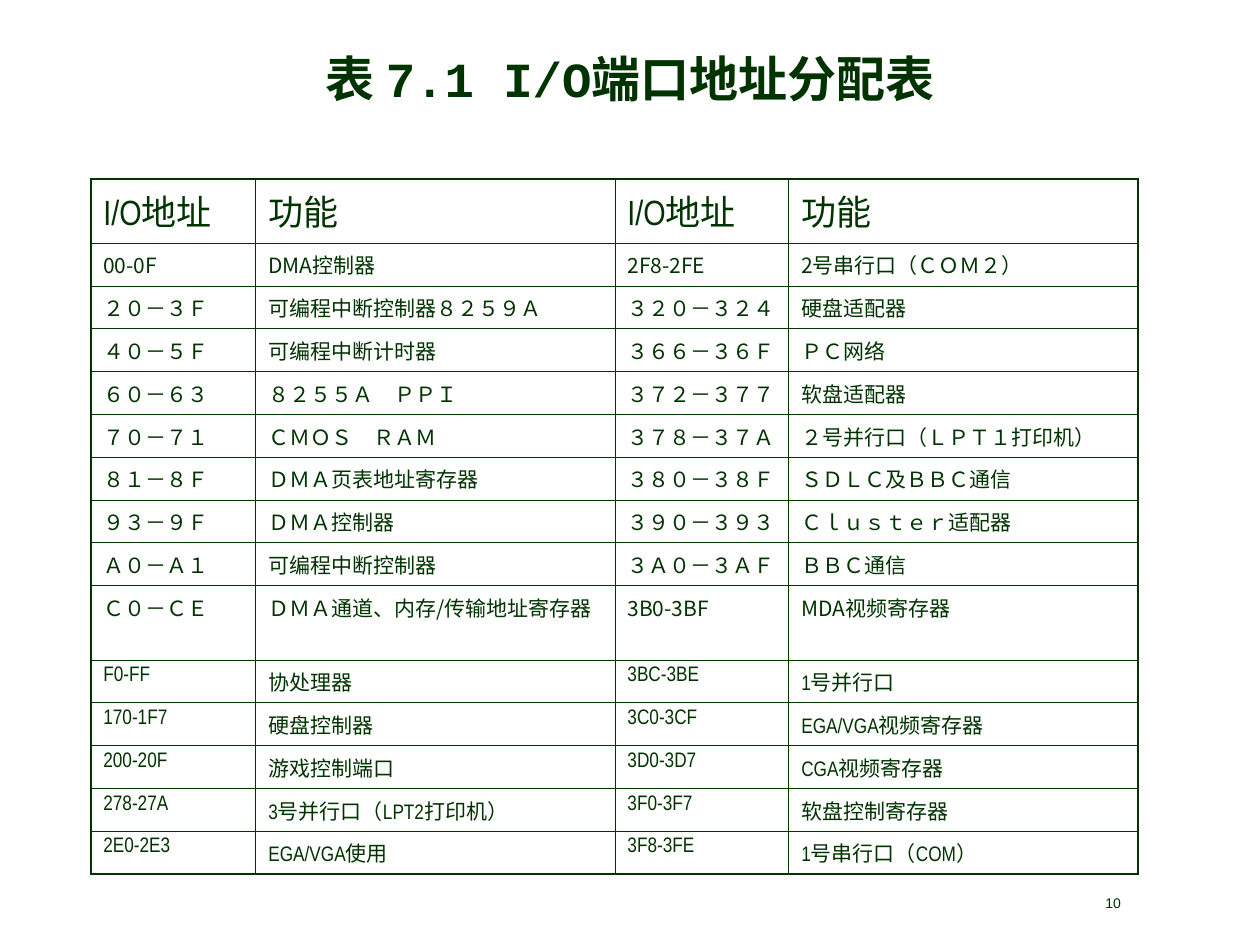
from lxml.etree import SubElement
from pptx import Presentation
from pptx.dml.color import RGBColor
from pptx.enum.text import MSO_ANCHOR, PP_ALIGN
from pptx.oxml.ns import qn
from pptx.util import Inches, Pt

INK = "003300"
CJK = "Noto Sans CJK TC"
NARROW = "Arial Narrow"
THIN, THICK = 0.45, 1.08

TITLE = "表 7.1 I/O端口地址分配表"
PAGE_NUMBER = "10"
HEADER = ("I/O地址", "功能", "I/O地址", "功能")
WIDE_ROWS = [
    ("00-0F", "DMA控制器", "2F8-2FE", "2号串行口（ＣＯＭ２）"),
    ("２０－３Ｆ", "可编程中断控制器８２５９Ａ", "３２０－３２４", "硬盘适配器"),
    ("４０－５Ｆ", "可编程中断计时器", "３６６－３６Ｆ", "ＰＣ网络"),
    ("６０－６３", "８２５５Ａ　ＰＰＩ", "３７２－３７７", "软盘适配器"),
    ("７０－７１", "ＣＭＯＳ　ＲＡＭ", "３７８－３７Ａ", "２号并行口（ＬＰＴ１打印机）"),
    ("８１－８Ｆ", "ＤＭＡ页表地址寄存器", "３８０－３８Ｆ", "ＳＤＬＣ及ＢＢＣ通信"),
    ("９３－９Ｆ", "ＤＭＡ控制器", "３９０－３９３", "Ｃｌｕｓｔｅｒ适配器"),
    ("Ａ０－Ａ１", "可编程中断控制器", "３Ａ０－３ＡＦ", "ＢＢＣ通信"),
    ("Ｃ０－ＣＥ", "ＤＭＡ通道、内存/传输地址寄存器", "3B0-3BF", "MDA视频寄存器"),
]
NARROW_ROWS = [
    ("F0-FF", "协处理器", "3BC-3BE", "1号并行口"),
    ("170-1F7", "硬盘控制器", "3C0-3CF", "EGA/VGA视频寄存器"),
    ("200-20F", "游戏控制端口", "3D0-3D7", "CGA视频寄存器"),
    ("278-27A", "3号并行口（LPT2打印机）", "3F0-3F7", "软盘控制寄存器"),
    ("2E0-2E3", "EGA/VGA使用", "3F8-3FE", "1号串行口（COM）"),
]
COLUMN_WIDTHS = (1.31, 2.85, 1.38, 2.77)
HEADER_HEIGHT, ROW_HEIGHT, TWO_LINE_HEIGHT = 0.51, 0.34, 0.59


def color(value):
    return RGBColor.from_string(value)


def write(text_frame, text, size, font_name, bold=False, align=PP_ALIGN.LEFT):
    paragraph = text_frame.paragraphs[0]
    paragraph.text = text
    paragraph.alignment = align
    font = paragraph.font
    font.size, font.name, font.bold = Pt(size), font_name, bold
    font.color.rgb = color(INK)
    defaults = paragraph._p.pPr.find(qn("a:defRPr"))
    SubElement(defaults, qn("a:ea"), typeface=CJK)


def add_label(slide, box, *text_style):
    shape = slide.shapes.add_textbox(*map(Inches, box))
    shape.text_frame.word_wrap = True
    shape.text_frame.vertical_anchor = MSO_ANCHOR.MIDDLE
    write(shape.text_frame, *text_style, align=PP_ALIGN.CENTER)


def set_borders(cell, widths):
    properties = cell._tc.get_or_add_tcPr()
    for position, (side, width) in enumerate(widths.items()):
        line = SubElement(properties, qn(f"a:ln{side}"), w=str(Pt(width)))
        fill = SubElement(line, qn("a:solidFill"))
        SubElement(fill, qn("a:srgbClr"), val=INK)
        properties.insert(position, line)  # borders come before the cell fill


def add_port_table(slide):
    # Each row carries its text size and font
    rows = [(HEADER, 20, NARROW)]
    rows += [(texts, 12, CJK) for texts in WIDE_ROWS]
    rows += [(texts, 12, NARROW) for texts in NARROW_ROWS]
    heights = [ROW_HEIGHT] * len(rows)
    heights[0] = HEADER_HEIGHT
    heights[len(WIDE_ROWS)] = TWO_LINE_HEIGHT

    table = slide.shapes.add_table(
        len(rows), len(COLUMN_WIDTHS), Inches(0.72), Inches(1.42),
        Inches(sum(COLUMN_WIDTHS)), Inches(sum(heights))).table
    table.first_row = table.horz_banding = False
    for column, width in zip(table.columns, COLUMN_WIDTHS):
        column.width = Inches(width)
    for row, height in zip(table.rows, heights):
        row.height = Inches(height)

    last_row, last_column = len(rows) - 1, len(COLUMN_WIDTHS) - 1
    for r, (texts, size, font_name) in enumerate(rows):
        for c, text in enumerate(texts):
            cell = table.cell(r, c)
            cell.fill.background()
            write(cell.text_frame, text, size, font_name)
            outer = {"L": c == 0, "R": c == last_column,
                     "T": r == 0, "B": r == last_row}
            set_borders(cell, {side: THICK if edge else THIN
                               for side, edge in outer.items()})


def main():
    presentation = Presentation()
    presentation.slide_width, presentation.slide_height = Inches(10), Inches(7.5)
    slide = presentation.slides.add_slide(presentation.slide_layouts[6])

    # Title, table and page number
    add_label(slide, (0.5, 0.29, 9, 0.65), TITLE, 28, "Courier New", True)
    add_port_table(slide)
    add_label(slide, (7.67, 7.1, 2.33, 0.14), PAGE_NUMBER, 8, "Arial")

    presentation.save("out.pptx")


if __name__ == "__main__":
    main()
